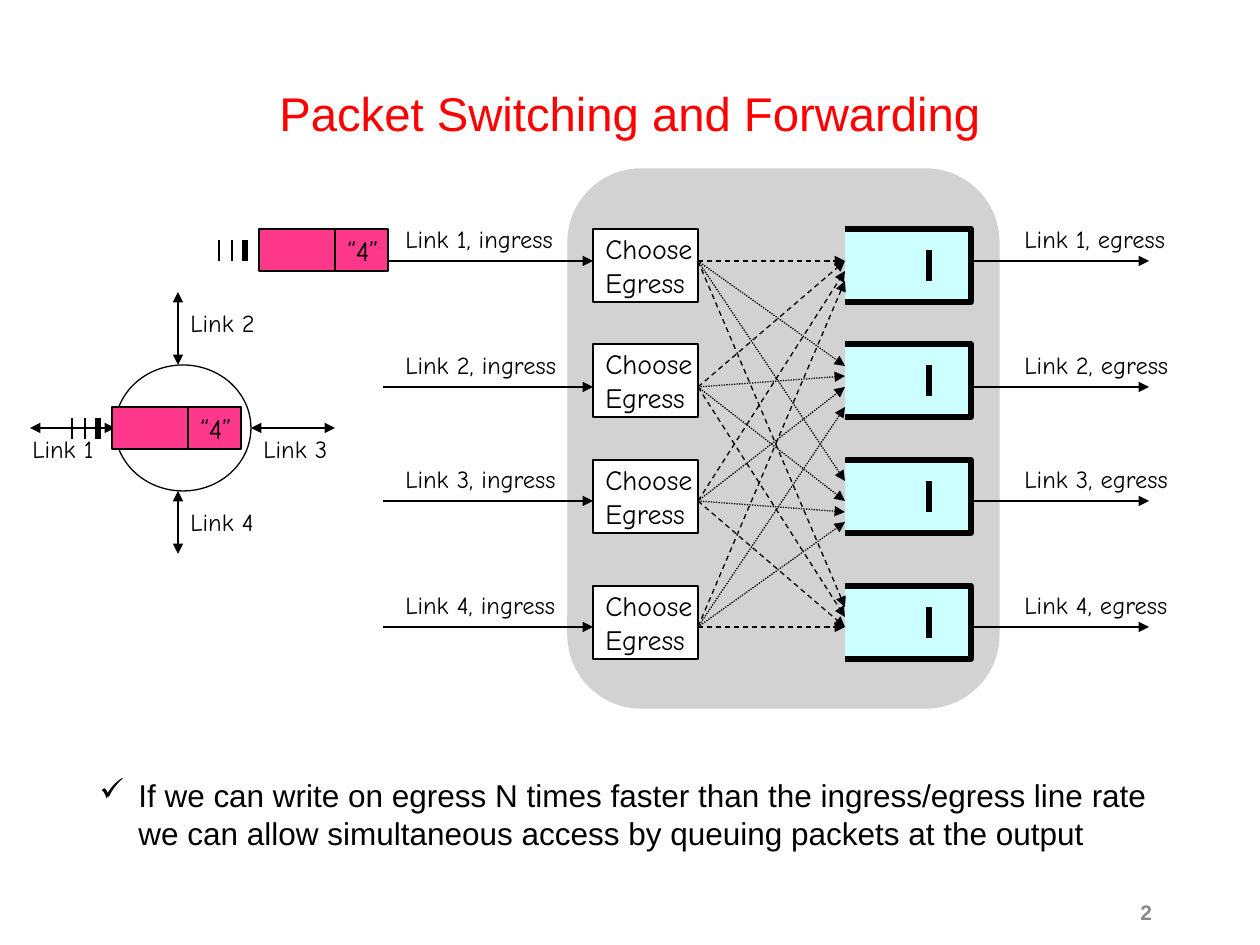
import pptx
import pptx.util
import pptx.dml.color
import pptx.enum.dml
import pptx.enum.shapes
import pptx.enum.text
import pptx.oxml
import pptx.oxml.ns

UNIT = 914400 / 126  # EMU in one px
THEME = {
    "title": "FF0000", "ink": "000000", "page": "898989", "white": "FFFFFF",
    "panel": "D2D2D2", "queue": "CCFFFF", "packet": "FF388C",
    "sans": "Arial", "hand": "Comic Neue",
    "head": 27, "body": 18, "box": 16, "label": 14, "small": 12,
    "thin": 0.75, "mid": 1.5, "thick": 3,
}
KIND = pptx.enum.shapes.MSO_SHAPE
DASH = pptx.enum.dml.MSO_LINE
ANCHOR = pptx.enum.text.MSO_ANCHOR
FIT = pptx.enum.text.MSO_AUTO_SIZE
ALIGN = pptx.enum.text.PP_ALIGN
qn = pptx.oxml.ns.qn

deck = pptx.Presentation()
deck.slide_width = pptx.util.Inches(10)
deck.slide_height = pptx.util.Inches(7.5)
slide = deck.slides.add_slide(deck.slide_layouts[6])


def color(name):
    return pptx.dml.color.RGBColor.from_string(THEME[name])


def block(kind, rect, text="", size="label", fill=None, edge="ink",
          ink="ink", font="hand", wrap=False):
    """Add a preset shape, or a text box when kind is None."""
    rect = [round(v * UNIT) for v in rect]
    if kind is None:
        shape = slide.shapes.add_textbox(*rect)
    else:
        shape = slide.shapes.add_shape(kind, *rect)
        shape.shadow.inherit = False
        shape.fill.solid()
        shape.fill.fore_color.rgb = color(fill)
        shape.line.color.rgb = color(edge)
        shape.line.width = pptx.util.Pt(THEME["thin"])
    if text:
        frame = shape.text_frame
        frame.text = text
        frame.word_wrap = wrap
        if kind is not None:
            frame.vertical_anchor = ANCHOR.MIDDLE
        for para in frame.paragraphs:
            para.alignment = ALIGN.LEFT
            for run in para.runs:
                run.font.size = pptx.util.Pt(THEME[size])
                run.font.name = THEME[font]
                run.font.color.rgb = color(ink)
    return shape


def link(x1, y1, x2, y2, width="thin", ends=("tailEnd",), dash=None):
    """Add a straight line with arrowheads at the named ends."""
    line = slide.shapes.add_connector(
        pptx.enum.shapes.MSO_CONNECTOR.STRAIGHT,
        *[round(v * UNIT) for v in (x1, y1, x2, y2)])
    line.line.color.rgb = color("ink")
    line.line.width = pptx.util.Pt(THEME[width])
    if dash:
        line.line.dash_style = dash
    props = line._element.spPr
    for end in ends:
        pptx.oxml.ns  # namespace-aware tags below
        head = props.find(qn("a:ln")).makeelement(qn(f"a:{end}"), {"type": "triangle"})
        props.find(qn("a:ln")).append(head)
    props.append(props.makeelement(qn("a:effectLst"), {}))


# Title and page number
title = block(None, (87, 21, 1086, 183), "Packet Switching and Forwarding",
              "head", ink="title", font="sans", wrap=True)
title.text_frame.vertical_anchor = ANCHOR.MIDDLE
title.text_frame.paragraphs[0].alignment = ALIGN.CENTER
page = block(None, (1128, 893, 93, 63), "2", "small", ink="page", font="sans", wrap=True)
page.text_frame.paragraphs[0].runs[0].font.bold = True

# Router with its four links
block(KIND.OVAL, (115, 365, 136, 126), fill="white")
for ends in ((30, 428, 115, 428), (178, 491, 178, 554),
             (251, 428, 335, 428), (178, 292, 178, 365)):
    link(*ends, ends=("headEnd", "tailEnd"))

# Switch body
panel = block(KIND.ROUNDED_RECTANGLE, (568, 169, 431, 539), fill="panel", edge="panel")
panel.adjustments[0] = 0.17

spots = ((20, 428, 90), (178, 302, 93), (251, 428, 93), (178, 501, 93))
for num, (x, y, w) in enumerate(spots, 1):
    label = block(None, (x, y, w, 42), f"Link {num}")
    label.text_frame.auto_size = FIT.SHAPE_TO_FIT_TEXT

# Ingress and egress lines with their labels
wires = (261, 387, 501, 627)
tops = (229, 344, 460, 586)
for num, y in enumerate(wires, 1):
    for x, end, gap, w, side in ((383, 593, 10, 189, "ingress"),
                                 (940, 1149, 72, 182, "egress")):
        link(x, y, end, y, "mid")
        label = block(None, (x + gap, y - 43, w, 42), f"Link {num}, {side}")
        label.text_frame.auto_size = FIT.SHAPE_TO_FIT_TEXT

# Output queues, open on the left
for y in tops:
    path = slide.shapes.build_freeform(845, y, scale=UNIT)
    path.add_line_segments([(971, y), (971, y + 73), (845, y + 73)], close=False)
    queue = path.convert_to_shape()
    queue.shadow.inherit = False
    queue.fill.solid()
    queue.fill.fore_color.rgb = color("queue")
    queue.line.color.rgb = color("ink")
    queue.line.width = pptx.util.Pt(THEME["thick"])
    link(929, y + 21, 929, y + 52, "thick", ends=())

# Every input reaches every queue; each row holds one queue's entry offsets
fans = (((0, 0, 10, 20), DASH.DASH), ((-21, -11, 0, 20), DASH.ROUND_DOT),
        ((-20, 0, 11, 21), DASH.ROUND_DOT), ((-20, -10, 0, 0), DASH.DASH))
for goal, (shifts, dash) in zip(wires, fans):
    for start, shift in zip(wires, shifts):
        link(698, start, 845, goal + shift, dash=dash)

# Lookup boxes
for y in tops:
    block(KIND.RECTANGLE, (593, y, 105, 73), "Choose\nEgress", "box", fill="white")

# Packets with motion bars
for x, y in ((112, 407), (259, 229)):
    block(KIND.RECTANGLE, (x, y, 76, 42), fill="packet")
    for gap, width in ((14, "thick"), (27, "mid"), (40, "thin")):
        link(x - gap, y + 11, x - gap, y + 32, width, ends=())
    block(KIND.RECTANGLE, (x + 76, y, 53, 42), "“4”", "box", fill="packet")

# Closing remark
note = block(None, (87, 770, 1074, 89),
             "If we can write on egress N times faster than the ingress/egress line rate "
             "we can allow simultaneous access by queuing packets at the output",
             "body", font="sans", wrap=True)
note.text_frame.auto_size = FIT.SHAPE_TO_FIT_TEXT
props = note.text_frame.paragraphs[0]._p.get_or_add_pPr()
props.set("marL", str(round(39 * UNIT)))
props.set("indent", str(round(-39 * UNIT)))
props.append(props.makeelement(qn("a:buChar"), {"char": "✓"}))

deck.save("out.pptx")
